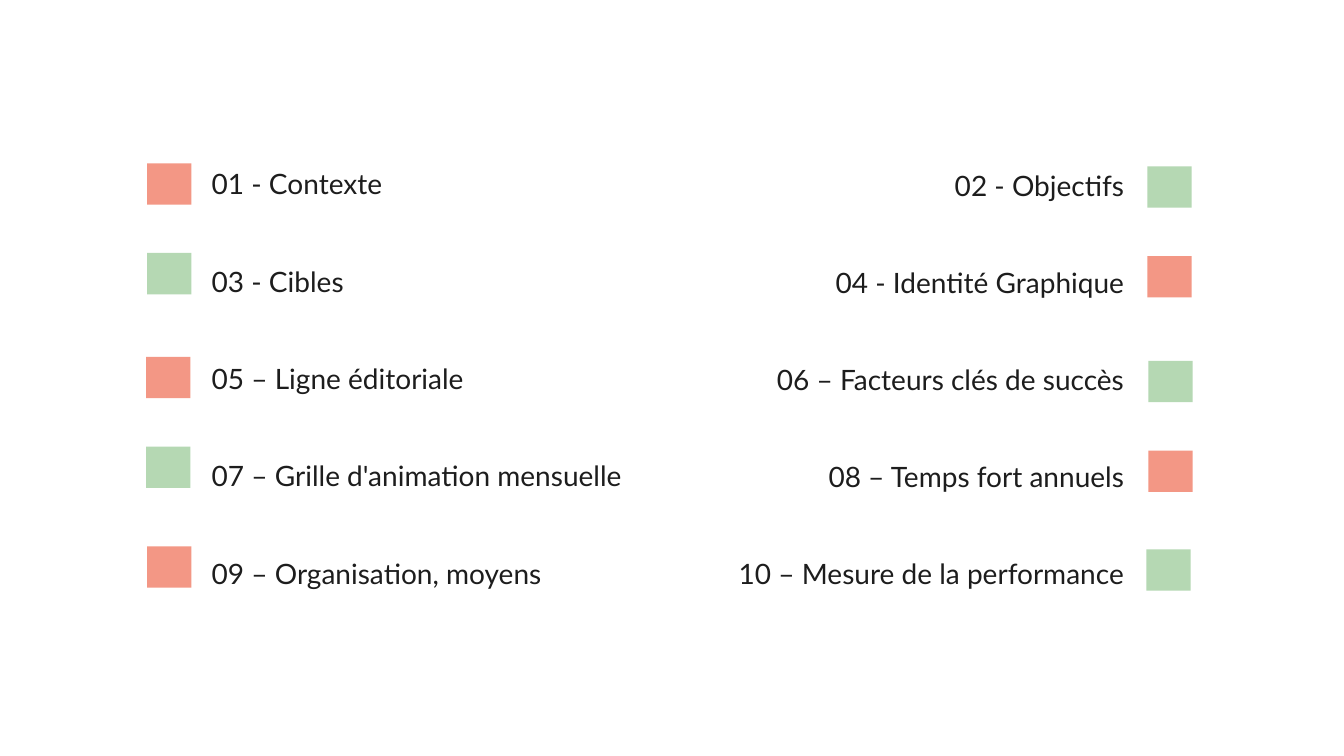
from dataclasses import dataclass

from pptx import Presentation
from pptx import util as u
from pptx.dml.color import RGBColor
from pptx.enum import shapes, text


@dataclass(frozen=True)
class Theme:
    ink: str = "1D1D1D"
    coral: str = "F39785"
    green: str = "B5D8B3"
    font: str = "Lato"
    size: float = 20
    leading: float = 1.1


class Agenda:
    """Places elements on a grid of columns and rows, each 0.1 inch."""

    CELL = u.Inches(0.1)

    def __init__(self, deck, theme):
        self.theme = theme
        self.page = deck.slides.add_slide(deck.slide_layouts[6])

    def place(self, *cells):
        return [round(cell * self.CELL) for cell in cells]

    def apply(self, target, formats):
        for name, value in formats.items():
            setattr(target, name, value)

    def label(self, wording, left, top, width, align):
        box = self.page.shapes.add_textbox(*self.place(left, top, width, 3.4))
        frame = box.text_frame
        self.apply(frame, {
            "word_wrap": True,
            "auto_size": text.MSO_AUTO_SIZE.SHAPE_TO_FIT_TEXT,
            "vertical_anchor": text.MSO_ANCHOR.BOTTOM,
            "margin_left": 0, "margin_right": 0,
            "margin_top": 0, "margin_bottom": 0,
        })
        para = frame.paragraphs[0]
        self.apply(para, {"alignment": align, "line_spacing": self.theme.leading})
        span = para.add_run()
        span.text = wording
        self.apply(span.font, {"name": self.theme.font, "size": u.Pt(self.theme.size)})
        span.font.color.rgb = RGBColor.from_string(self.theme.ink)

    def marker(self, left, top, colour):
        square = self.page.shapes.add_shape(
            shapes.MSO_SHAPE.RECTANGLE, *self.place(left, top, 4.4, 4.1))
        square.shadow.inherit = False
        square.fill.solid()
        square.fill.fore_color.rgb = RGBColor.from_string(colour)
        square.line.fill.background()


# Chapters: wording, label width, marker left and top
LEFT_CHAPTERS = [
    ("01 - Contexte", 34.1, 14.6, 16.2),
    ("03 - Cibles", 34.1, 14.6, 25.1),
    ("05 – Ligne éditoriale", 34.1, 14.5, 35.4),
    ("07 – Grille d'animation mensuelle", 42.7, 14.5, 44.3),
    ("09 – Organisation, moyens", 34.1, 14.6, 54.2),
]
RIGHT_CHAPTERS = [
    ("02 - Objectifs", 34.1, 113.8, 16.5),
    ("04 - Identité Graphique", 34.1, 113.8, 25.4),
    ("06 – Facteurs clés de succès", 37, 113.9, 35.8),
    ("08 – Temps fort annuels", 34.1, 113.9, 44.7),
    ("10 – Mesure de la performance", 41.4, 113.7, 54.5),
]
LEFT_EDGE, RIGHT_EDGE = 21, 111.5


def main():
    deck = Presentation()
    deck.slide_width, deck.slide_height = u.Inches(13.33), u.Inches(7.5)
    theme = Theme()
    agenda = Agenda(deck, theme)
    colours = [theme.coral, theme.green]

    # Odd chapters, read from the left edge
    for row, (wording, width, left, top) in enumerate(LEFT_CHAPTERS):
        agenda.label(wording, LEFT_EDGE, 16.5 + 9.65 * row, width, text.PP_ALIGN.LEFT)
        agenda.marker(left, top, colours[row % 2])

    # Even chapters, set against the right edge with colours swapped
    for row, (wording, width, left, top) in enumerate(RIGHT_CHAPTERS):
        agenda.label(wording, RIGHT_EDGE - width, 16.7 + 9.6 * row, width,
                     text.PP_ALIGN.RIGHT)
        agenda.marker(left, top, colours[(row + 1) % 2])

    deck.save("out.pptx")


if __name__ == "__main__":
    main()
